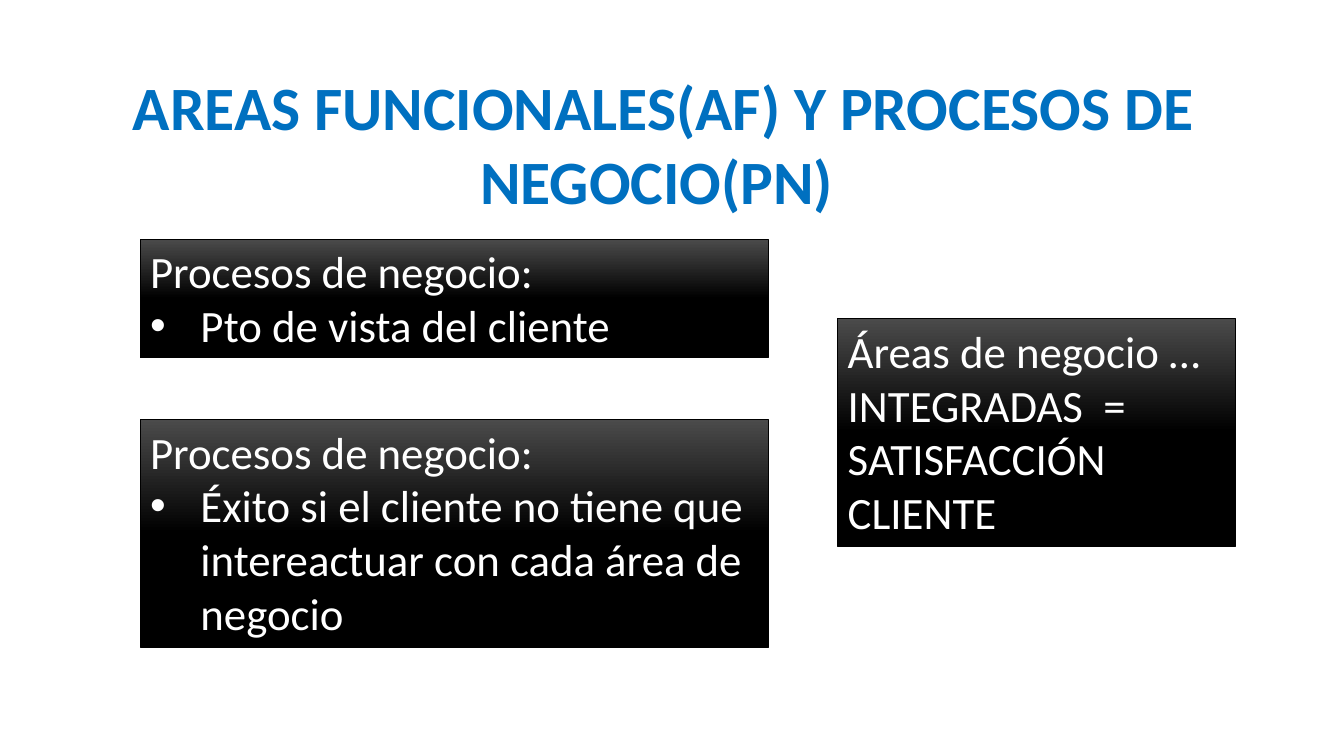
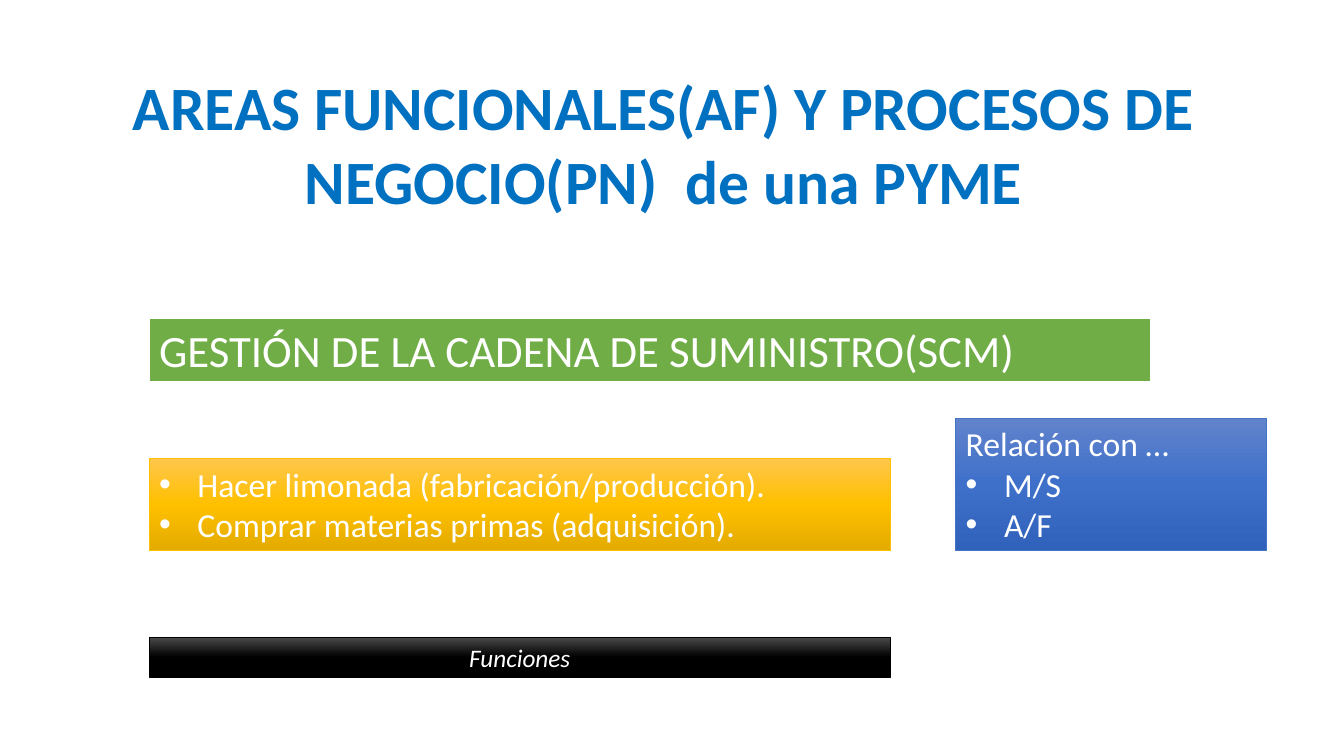
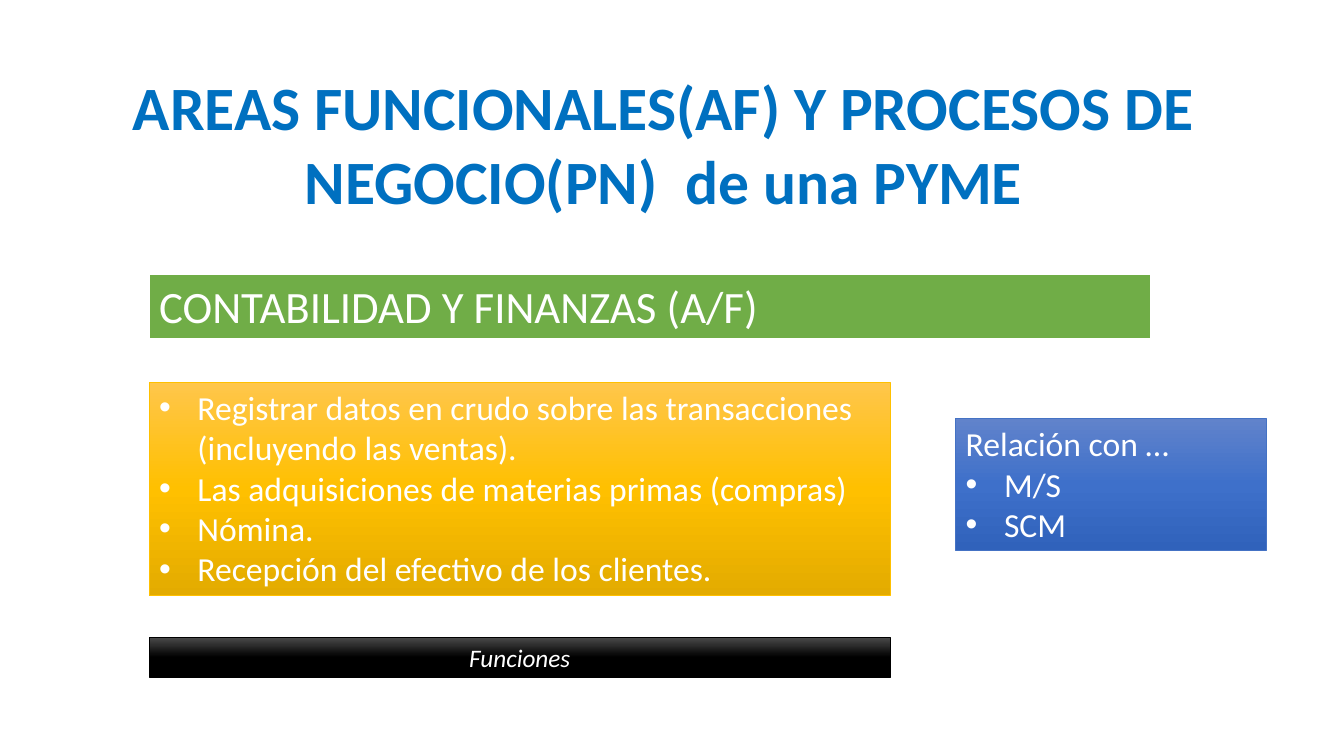
from dataclasses import dataclass
from typing import Any
from lxml.etree import SubElement
from pptx import Presentation
from pptx.dml.color import RGBColor
from pptx.enum.shapes import MSO_SHAPE
from pptx.enum.text import MSO_ANCHOR, MSO_AUTO_SIZE, PP_ALIGN
from pptx.oxml.ns import qn
from pptx.util import Inches, Pt

WHITE = "FFFFFF"
BLUE = "0070C0"
FRAME = {"word_wrap": True, "auto_size": MSO_AUTO_SIZE.SHAPE_TO_FIT_TEXT}
HEAD = {"name": "Calibri", "size": Pt(44), "bold": True}
LARGE = {"name": "Calibri", "size": Pt(32)}
BODY = {"name": "Calibri", "size": Pt(24)}
NOTE = {"name": "Calibri", "size": Pt(18), "italic": True}
TITLE = "AREAS FUNCIONALES(AF) Y PROCESOS DE NEGOCIO(PN) "
LEFT, WIDE = 1.48, 7.35


@dataclass(frozen=True)
class Skin:
    stops: tuple[str, ...]
    edge: str
    weight: float = 0.5


BLACK = Skin(("4B4B4B", "000000", "000000"), "000000")
GOLD = Skin(("FFC64B", "FFC000", "E3AB00"), "FFC000")
NAVY = Skin(("6183CB", "3E70CA", "3062BB"), "4472C4")
GREEN = Skin(("70AD47",), WHITE, 1.5)


@dataclass(frozen=True)
class Box:
    area: tuple[float, float, float, float]
    skin: Skin
    font: dict[str, Any]
    lines: tuple[str, ...] = ()
    items: tuple[str, ...] = ()
    align: PP_ALIGN = PP_ALIGN.LEFT
    hang: float = 0.38


def tint(code: str) -> RGBColor:
    return RGBColor.from_string(code)


def apply(target: Any, style: dict[str, Any]) -> None:
    for key, value in style.items():
        setattr(target, key, value)


def place(shape: Any, area: tuple[float, ...]) -> None:
    apply(shape, dict(zip(("left", "top", "width", "height"), map(Inches, area))))


def write(para: Any, text: str, font: dict[str, Any], color: str) -> Any:
    run = para.add_run()
    run.text = text
    apply(run.font, font)
    run.font.color.rgb = tint(color)
    return run


def paint(shape: Any, skin: Skin) -> None:
    shape.shadow.inherit = False
    fill = shape.fill
    if len(skin.stops) == 1:
        fill.solid()
        fill.fore_color.rgb = tint(skin.stops[0])
    else:
        fill.gradient()
        fill.gradient_angle = 270
        group = shape.element.spPr.find(qn("a:gradFill")).find(qn("a:gsLst"))
        group.clear()
        step = 100000 // (len(skin.stops) - 1)
        for rank, code in enumerate(skin.stops):
            stop = SubElement(group, qn("a:gs"), pos=str(rank * step))
            SubElement(stop, qn("a:srgbClr"), val=code)
    shape.line.color.rgb = tint(skin.edge)
    shape.line.width = Pt(skin.weight)


def bullet(para: Any, hang: float) -> None:
    props = para._p.get_or_add_pPr()
    props.set("marL", str(Inches(hang)))
    props.set("indent", str(-Inches(hang)))
    SubElement(props, qn("a:buFont"), typeface="Arial")
    SubElement(props, qn("a:buChar"), char="•")


def draw(slide: Any, box: Box) -> None:
    shape = slide.shapes.add_shape(MSO_SHAPE.RECTANGLE, *map(Inches, box.area))
    paint(shape, box.skin)
    frame = shape.text_frame
    apply(frame, FRAME | {"vertical_anchor": MSO_ANCHOR.TOP})
    for rank, text in enumerate(box.lines + box.items):
        para = frame.add_paragraph() if rank else frame.paragraphs[0]
        para.alignment = box.align
        if rank >= len(box.lines):
            bullet(para, box.hang)
        write(para, text, box.font, WHITE)


def head(slide: Any, text: str) -> None:
    title = slide.shapes.title
    place(title, (0.65, 0.63, 11.87, 1.58))
    apply(title.text_frame, FRAME | {"vertical_anchor": MSO_ANCHOR.TOP})
    para = title.text_frame.paragraphs[0]
    para.alignment = PP_ALIGN.CENTER
    props = write(para, text, HEAD, BLUE).font._element
    line = SubElement(props, qn("a:ln"), w=str(Pt(0.75)))
    SubElement(SubElement(line, qn("a:solidFill")), qn("a:srgbClr"), val=WHITE)
    props.insert(0, line)


def claim(area: tuple[float, float, float, float], lines: tuple[str, ...],
          items: tuple[str, ...] = ()) -> Box:
    return Box(area, BLACK, LARGE, lines, items, hang=0.5)


def unit(name: str, top: float, tasks: tuple[str, ...], start: float,
         tall: float, links: tuple[str, ...]) -> tuple[Box, ...]:
    return (
        Box((LEFT, top, 9.94, 0.64), GREEN, LARGE, (name,)),
        Box((LEFT, 6.32, WIDE, 0.4), BLACK, NOTE, ("Funciones",), align=PP_ALIGN.CENTER),
        Box((LEFT, start, WIDE, tall), GOLD, BODY, items=tasks),
        Box((9.48, 4.15, 3.08, 1.31), NAVY, BODY, ("Relación con …",), links),
    )


PAGES = (
    (TITLE, (
        claim((1.39, 2.37, 6.23, 1.18), ("Procesos de negocio:",),
              ("Pto de vista del cliente",)),
        claim((1.39, 4.16, 6.23, 2.26), ("Procesos de negocio:",),
              ("Éxito si el cliente no tiene que intereactuar con cada área de negocio",)),
        claim((8.31, 3.16, 3.94, 2.26),
              ("Áreas de negocio …", "INTEGRADAS  =", "SATISFACCIÓN CLIENTE")),
    )),
    (TITLE + " de una PYME", unit(
        "GESTIÓN DE LA CADENA DE SUMINISTRO(SCM)", 3.15,
        ("Hacer limonada (fabricación/producción).",
         "Comprar materias primas (adquisición)."),
        4.55, 0.91, ("M/S", "A/F"))),
    (TITLE + " de una PYME", unit(
        "CONTABILIDAD Y FINANZAS (A/F)", 2.72,
        ("Registrar datos en crudo sobre las transacciones (incluyendo las ventas).",
         "Las adquisiciones de materias primas (compras)",
         "Nómina.",
         "Recepción del efectivo de los clientes."),
        3.79, 2.12, ("M/S", "SCM"))),
)


def main() -> None:
    deck = Presentation()
    apply(deck, {"slide_width": Inches(13.33), "slide_height": Inches(7.5)})
    for title, boxes in PAGES:
        slide = deck.slides.add_slide(deck.slide_layouts[5])
        head(slide, title)
        for box in boxes:
            draw(slide, box)
    deck.save("out.pptx")


if __name__ == "__main__":
    main()
